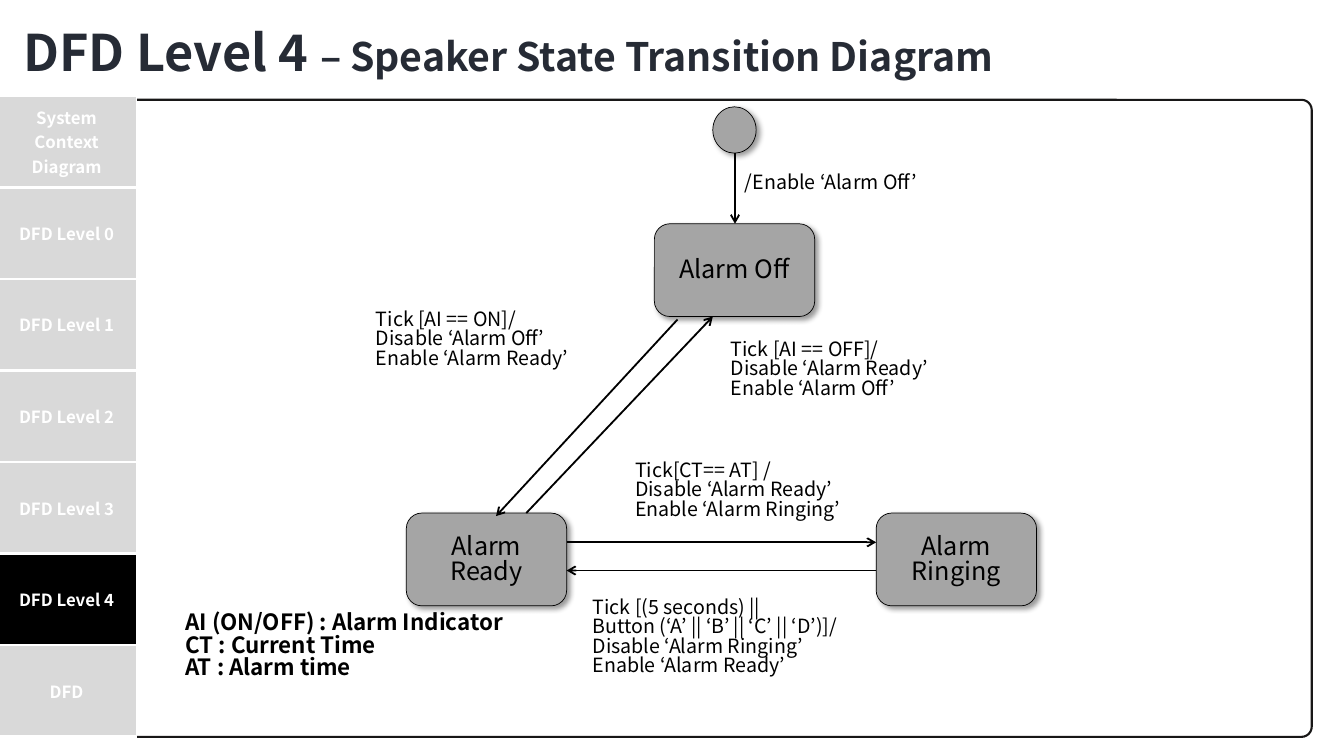
from lxml import etree
from pptx import Presentation
from pptx.dml.color import RGBColor
from pptx.enum.shapes import MSO_CONNECTOR, MSO_SHAPE
from pptx.enum.text import MSO_ANCHOR, PP_ALIGN
from pptx.oxml import parse_xml
from pptx.oxml.ns import qn
from pptx.util import Inches, Pt

FONT = "Noto Sans CJK KR"
COLORS = {
    name: RGBColor.from_string(value)
    for name, value in {
        "white": "FFFFFF", "black": "000000", "title": "262B35",
        "frame": "181717", "state": "A5A5A5", "tab": "D9D9D9",
    }.items()
}
NS = 'xmlns:a="http://schemas.openxmlformats.org/drawingml/2006/main"'
SHADOW = (
    f'<a:effectLst {NS}><a:outerShdw blurRad="50800" dist="38100" dir="2700000" '
    'algn="tl" rotWithShape="0"><a:srgbClr val="000000"><a:alpha val="40000"/>'
    '</a:srgbClr></a:outerShdw></a:effectLst>'
)


def write(frame, lines, size, color="black", bold=False, align=PP_ALIGN.LEFT, spacing=0.83):
    frame.word_wrap = True
    for index, line in enumerate(lines):
        paragraph = frame.paragraphs[0] if index == 0 else frame.add_paragraph()
        paragraph.alignment = align
        paragraph.line_spacing = spacing
        run = paragraph.add_run()
        run.text = line
        look = {"name": FONT, "size": Pt(size), "bold": bold}
        for key, value in look.items():
            setattr(run.font, key, value)
        run.font.color.rgb = COLORS[color]
        etree.SubElement(run.font._element, qn("a:ea")).set("typeface", FONT)


def add_box(kind, left, top, width, height, fill, line, weight):
    box = slide.shapes.add_shape(
        kind, Inches(left), Inches(top), Inches(width), Inches(height))
    box.shadow.inherit = False
    box.fill.solid()
    box.fill.fore_color.rgb = COLORS[fill]
    box.line.color.rgb = COLORS[line]
    box.line.width = Pt(weight)
    return box


deck = Presentation()
deck.slide_width, deck.slide_height = Inches(13.33), Inches(7.5)
slide = deck.slides.add_slide(deck.slide_layouts[6])

frame = add_box(MSO_SHAPE.ROUNDED_RECTANGLE, 0.34, 0.99, 12.67, 6.32, "white", "frame", 1.5)
frame.adjustments[0] = 0.016

levels = ["System Context Diagram"] + [f"DFD Level {n}" for n in range(5)] + ["DFD"]
navigation = slide.shapes.add_table(
    len(levels), 1, Inches(-0.03), Inches(0.95), Inches(1.38), Inches(6.36)).table
navigation.first_row = navigation.horz_banding = False
for row, level in enumerate(levels):
    cell = navigation.cell(row, 0)
    cell.vertical_anchor = MSO_ANCHOR.MIDDLE
    cell.fill.solid()
    cell.fill.fore_color.rgb = COLORS["black" if level == "DFD Level 4" else "tab"]
    write(cell.text_frame, [level], 12, "white", True, PP_ALIGN.CENTER, 1.0)
    for index, side in enumerate(("lnT", "lnB")):
        cell._tc.get_or_add_tcPr().insert(index, parse_xml(
            f'<a:{side} {NS} w="28575"><a:solidFill><a:srgbClr val="FFFFFF"/>'
            f'</a:solidFill></a:{side}>'))

title = slide.shapes.add_textbox(
    Inches(0.01), Inches(-0.06), Inches(13.32), Inches(0.89)).text_frame
title.vertical_anchor = MSO_ANCHOR.MIDDLE
title.margin_left = Inches(0.22)
write(title, ["DFD Level 4 "], 36, "title", True, spacing=1.4)
subtitle = title.paragraphs[0].add_run()
subtitle.text = "– Speaker State Transition Diagram"
for key, value in {"name": FONT, "size": Pt(28), "bold": True}.items():
    setattr(subtitle.font, key, value)
subtitle.font.color.rgb = COLORS["title"]
etree.SubElement(subtitle.font._element, qn("a:ea")).set("typeface", FONT)

states = [
    (MSO_SHAPE.OVAL, 7.07, 1.06, 0.43, 0.46, []),
    (MSO_SHAPE.ROUNDED_RECTANGLE, 6.49, 2.22, 1.59, 0.92, ["Alarm Off"]),
    (MSO_SHAPE.ROUNDED_RECTANGLE, 4.03, 5.09, 1.59, 0.92, ["Alarm", "Ready"]),
    (MSO_SHAPE.ROUNDED_RECTANGLE, 8.69, 5.09, 1.59, 0.92, ["Alarm", "Ringing"]),
]
for kind, left, top, width, height, words in states:
    state = add_box(kind, left, top, width, height, "state", "black", 0.5)
    properties = state._element.spPr
    properties.replace(properties.find(qn("a:effectLst")), parse_xml(SHADOW))
    state.text_frame.vertical_anchor = MSO_ANCHOR.MIDDLE
    state.text_frame.margin_top = Inches(0.07)
    write(state.text_frame, words, 18, align=PP_ALIGN.CENTER)

transitions = [
    (7.29, 1.52, 7.29, 2.22),
    (6.72, 3.17, 4.92, 5.12),
    (5.22, 5.09, 7.07, 3.14),
    (5.62, 5.38, 8.69, 5.38),
    (8.69, 5.66, 5.62, 5.66),
]
for ends in transitions:
    arrow = slide.shapes.add_connector(MSO_CONNECTOR.STRAIGHT, *map(Inches, ends))
    arrow.line.color.rgb = COLORS["black"]
    arrow.line.width = Pt(1.3)
    etree.SubElement(arrow.line._get_or_add_ln(), qn("a:tailEnd")).set("type", "arrow")
    etree.SubElement(arrow._element.spPr, qn("a:effectLst"))

labels = [
    (7.29, 1.66, 2.91, 0.34, 14, False, ["/Enable ‘Alarm Off’"]),
    (3.63, 3.01, 2.11, 0.81, 14, False,
     ["Tick [AI == ON]/", "Disable ‘Alarm Off’", "Enable ‘Alarm Ready’"]),
    (7.15, 3.31, 2.28, 0.81, 14, False,
     ["Tick [AI == OFF]/", "Disable ‘Alarm Ready’", "Enable ‘Alarm Off’"]),
    (6.2, 4.51, 2.91, 0.81, 14, False,
     ["Tick[CT== AT] /", "Disable ‘Alarm Ready’", "Enable ‘Alarm Ringing’"]),
    (5.78, 5.87, 2.91, 1.04, 14, False,
     ["Tick [(5 seconds) ||", "Button (‘A’ || ‘B’ || ‘C’ || ‘D’)]/",
      "Disable ‘Alarm Ringing’", "Enable ‘Alarm Ready’"]),
    (1.74, 6.01, 3.78, 1.45, 16, True,
     ["AI (ON/OFF) : Alarm Indicator", "CT : Current Time", "AT : Alarm time"]),
]
for left, top, width, height, size, bold, lines in labels:
    label = slide.shapes.add_textbox(
        Inches(left), Inches(top), Inches(width), Inches(height)).text_frame
    label.margin_top = Inches(0.07)
    write(label, lines, size, bold=bold)

deck.save("out.pptx")
